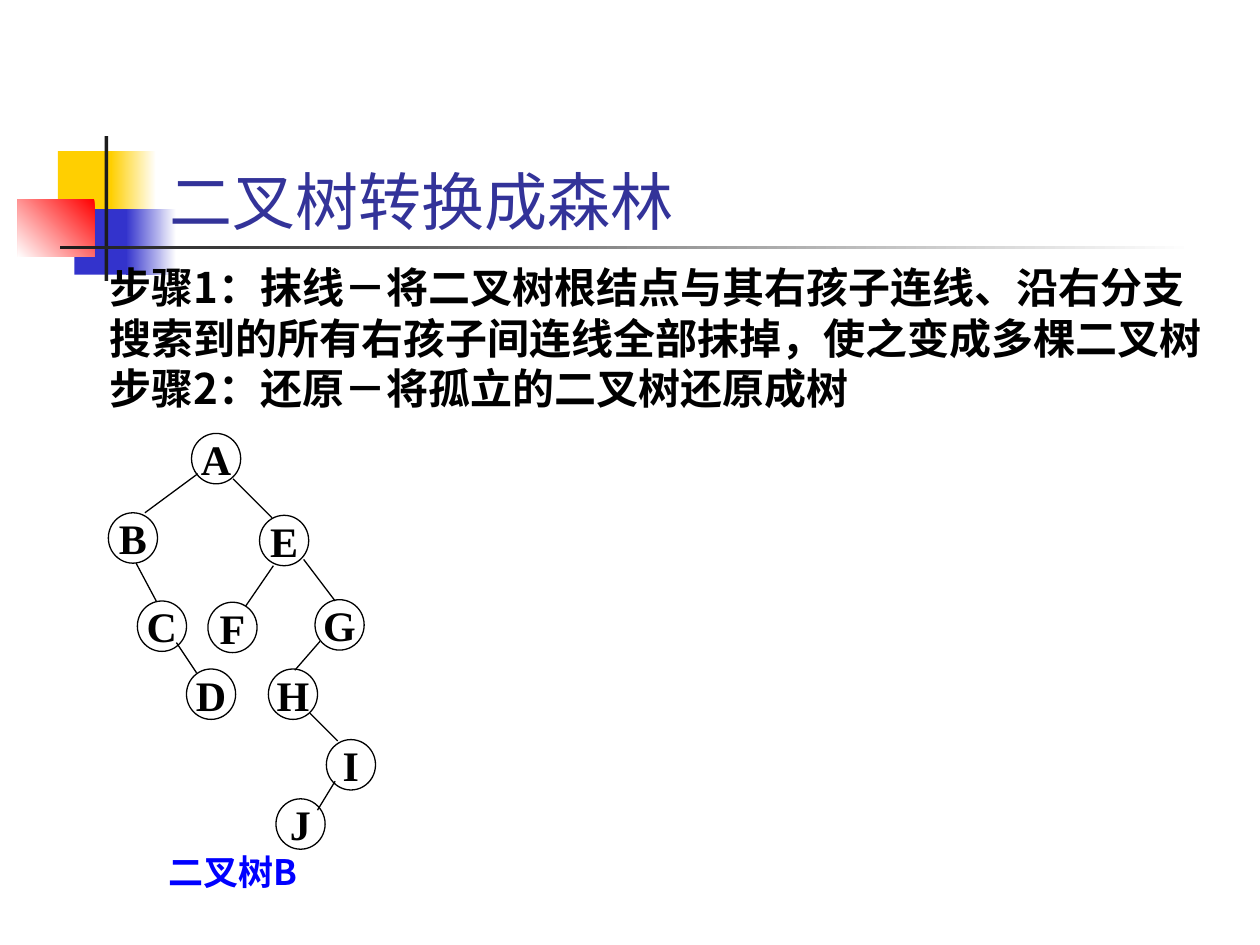
from lxml.etree import SubElement
from pptx import Presentation
from pptx.dml.color import RGBColor
from pptx.enum.shapes import MSO_CONNECTOR as Connector, MSO_SHAPE as Preset
from pptx.enum.text import MSO_ANCHOR as Anchor, PP_ALIGN as Align
from pptx.oxml.ns import qn
from pptx.util import Inches, Pt

WHITE = RGBColor(0xFF, 0xFF, 0xFF)
BLACK = RGBColor(0x00, 0x00, 0x00)
CHARCOAL = RGBColor(0x1C, 0x1C, 0x1C)
YELLOW = RGBColor(0xFF, 0xCF, 0x01)
RED = RGBColor(0xFF, 0x00, 0x00)
INDIGO = RGBColor(0x33, 0x33, 0xCC)
TITLE_BLUE = RGBColor(0x33, 0x33, 0x99)
CAPTION_BLUE = RGBColor(0x00, 0x00, 0xFF)

NODES = {
    "A": (1.52, 3.44), "B": (0.86, 4.07), "C": (1.09, 4.77),
    "D": (1.48, 5.31), "E": (2.06, 4.09), "F": (1.65, 4.78),
    "G": (2.5, 4.76), "H": (2.13, 5.31), "I": (2.59, 5.87),
    "J": (2.19, 6.34),
}
BRANCHES = [
    ((1.57, 3.76), (1.15, 4.07)),
    ((1.85, 3.8), (2.16, 4.11)),
    ((1.08, 4.47), (1.24, 4.77)),
    ((1.4, 5.1), (1.56, 5.34)),
    ((2.17, 4.49), (1.95, 4.81)),
    ((2.41, 4.44), (2.66, 4.77)),
    ((2.54, 5.09), (2.34, 5.32)),
    ((2.46, 5.66), (2.68, 5.88)),
    ((2.66, 6.2), (2.52, 6.43)),
]
STEPS = [
    "步骤1：抹线－将二叉树根结点与其右孩子连线、沿右分支"
    "搜索到的所有右孩子间连线全部抹掉，使之变成多棵二叉树",
    "步骤2：还原－将孤立的二叉树还原成树",
]


class SlideBuilder:
    title_font = "Karla"
    body_font = "Noto Sans CJK SC"
    node_font = "Times New Roman"
    node_size = (0.39, 0.4)
    line_width = Pt(0.75)

    def __init__(self, page):
        self.page = page

    def shape(self, preset, *bounds):
        shape = self.page.shapes.add_shape(preset, *map(Inches, bounds))
        shape.shadow.inherit = False
        return shape

    def block(self, bounds, color, end_color=None, angle=180):
        block = self.shape(Preset.RECTANGLE, *bounds)
        block.line.fill.background()
        if end_color is None:
            block.fill.solid()
            block.fill.fore_color.rgb = color
            return
        block.fill.gradient()
        block.fill.gradient_angle = angle
        for stop, shade in zip(block.fill.gradient_stops, (color, end_color)):
            stop.color.rgb = shade

    def span(self, para, text, font, size, color, bold=True):
        span = para.add_run()
        span.text = text
        span.font.name = font
        span.font.size = Pt(size)
        span.font.bold = bold
        span.font.color.rgb = color
        if font != self.node_font:
            SubElement(span.font._element, qn("a:ea"), typeface=font)

    def text(self, bounds, lines, font, size, color, bold=True,
             anchor=Anchor.TOP, spacing=None, margin=0):
        box = self.page.shapes.add_textbox(*map(Inches, bounds))
        frame = box.text_frame
        frame.word_wrap = True
        frame.vertical_anchor = anchor
        for index, line in enumerate(lines):
            para = frame.add_paragraph() if index else frame.paragraphs[0]
            if spacing:
                para.line_spacing = Pt(spacing)
            if margin:
                properties = para._p.get_or_add_pPr()
                properties.set("marL", str(Inches(margin)))
                properties.set("indent", "0")
            self.span(para, line, font, size, color, bold)

    def node(self, letter, left, top):
        node = self.shape(Preset.OVAL, left, top, *self.node_size)
        node.fill.background()
        node.line.color.rgb = BLACK
        node.line.width = self.line_width
        frame = node.text_frame
        frame.word_wrap = False
        frame.vertical_anchor = Anchor.MIDDLE
        para = frame.paragraphs[0]
        para.alignment = Align.CENTER
        self.span(para, letter, self.node_font, 24, BLACK)

    def branch(self, start, end):
        branch = self.page.shapes.add_connector(
            Connector.STRAIGHT, *map(Inches, start + end))
        branch.line.color.rgb = BLACK
        branch.line.width = self.line_width
        SubElement(branch._element.spPr, qn("a:effectLst"))


def main():
    deck = Presentation()
    deck.slide_width, deck.slide_height = Inches(10), Inches(7.5)
    builder = SlideBuilder(deck.slides.add_slide(deck.slide_layouts[6]))

    builder.block((0.46, 1.2, 0.48, 0.52), YELLOW)
    builder.block((0.88, 1.2, 0.36, 0.52), WHITE, YELLOW)
    builder.block((0.59, 1.66, 0.46, 0.52), INDIGO)
    builder.block((1, 1.66, 0.4, 0.52), WHITE, INDIGO)
    builder.block((0.14, 1.58, 0.61, 0.46), RED, WHITE, angle=225)
    builder.block((0.83, 1.08, 0.03, 1.15), CHARCOAL)
    builder.block((0.48, 1.95, 9, 0.03), WHITE, CHARCOAL)

    builder.text((1.25, 0.52, 8.25, 1.42), ["二叉树转换成森林"],
                 builder.title_font, 36, TITLE_BLUE, bold=False,
                 anchor=Anchor.BOTTOM)
    builder.text((0.27, 2.03, 9.45, 1.3), STEPS, builder.body_font, 24,
                 BLACK, spacing=28.8, margin=0.5)
    builder.text((1.24, 6.7, 1.5, 0.44), ["二叉树B"], builder.body_font, 20,
                 CAPTION_BLUE, spacing=24)

    for letter, corner in NODES.items():
        builder.node(letter, *corner)
    for start, end in BRANCHES:
        builder.branch(start, end)

    deck.save("out.pptx")


if __name__ == "__main__":
    main()
